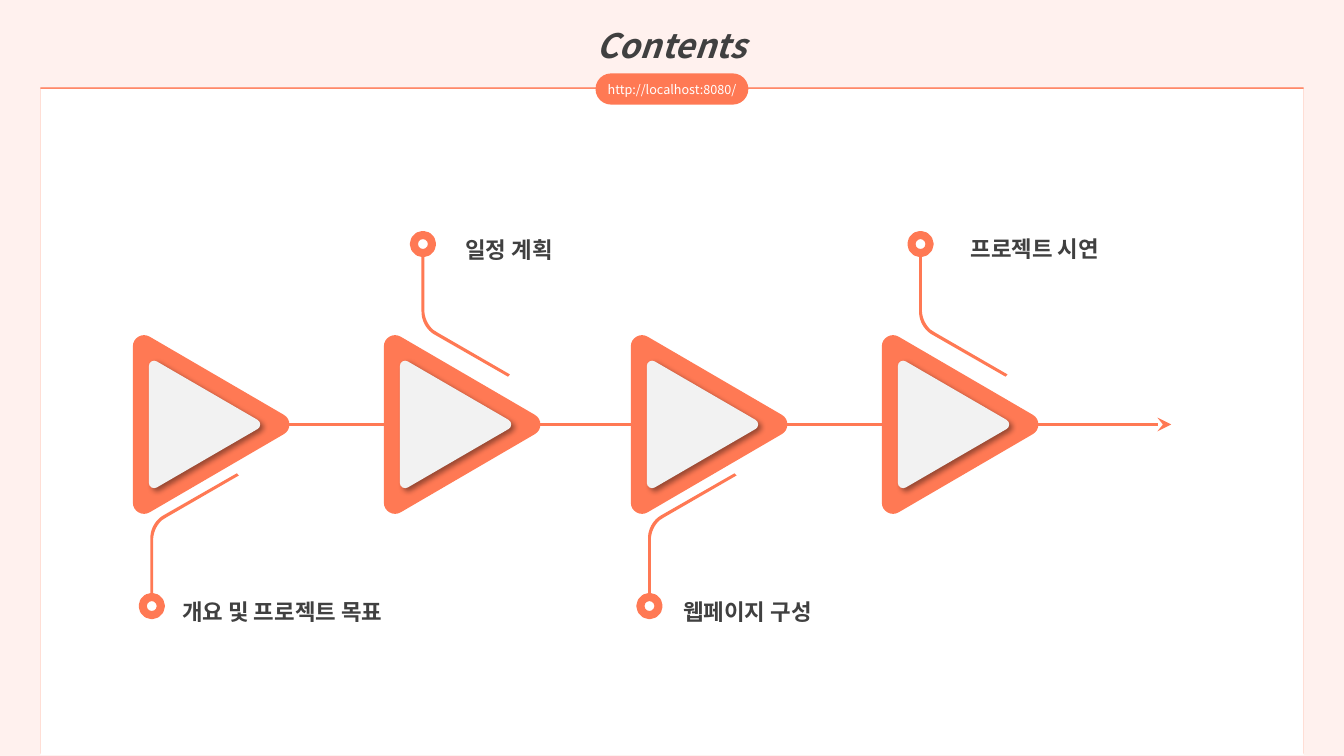
from dataclasses import dataclass

import pptx
import pptx.dml.color
import pptx.enum.shapes
import pptx.enum.text
import pptx.oxml
import pptx.oxml.ns
import pptx.util

Pt = pptx.util.Pt
RGBColor = pptx.dml.color.RGBColor
Shapes = pptx.enum.shapes.MSO_SHAPE
Align = pptx.enum.text.PP_ALIGN
Anchor = pptx.enum.text.MSO_ANCHOR

CORAL = RGBColor(0xFF, 0x79, 0x54)
BLUSH = RGBColor(0xFF, 0xF1, 0xEE)
WHITE = RGBColor(0xFF, 0xFF, 0xFF)
PALE_GREY = RGBColor(0xF2, 0xF2, 0xF2)
DARK_GREY = RGBColor(0x40, 0x40, 0x40)
BLACK = RGBColor(0, 0, 0)
FONT = "Noto Sans CJK KR"

AXIS_Y = 303.2
RING_SIZE = 13


@dataclass
class Step:
    label: str
    triangle_left: float
    ring_x: float
    ring_y: float
    label_left: float
    label_top: float
    label_width: float
    toward_axis: int  # 1 when the leader runs down, -1 when it runs up


@dataclass
class Shadow:
    color: RGBColor
    opacity: int
    blur: float
    distance: float
    angle: int


STEPS = [
    Step("개요 및 프로젝트 목표", 95, 108.4, 432.9, 123.1, 414, 227.5, -1),
    Step("일정 계획", 274.3, 302.1, 174.3, 325.4, 155.5, 218.9, 1),
    Step("웹페이지 구성", 450.7, 463.9, 432.9, 481, 414, 220.3, -1),
    Step("프로젝트 시연", 630, 657.5, 174.3, 686.2, 154.8, 217.4, 1),
]


def add_xml(parent, tag: str, **attributes):
    child = pptx.oxml.parse_xml(f"<{tag} {pptx.oxml.ns.nsdecls('a')}/>")
    for name, value in attributes.items():
        child.set(name, str(value))
    parent.append(child)
    return child


def add_shadow(shape, shadow: Shadow) -> None:
    effects = shape._element.spPr.find(pptx.oxml.ns.qn("a:effectLst"))
    outer = add_xml(effects, "a:outerShdw", blurRad=Pt(shadow.blur), dist=Pt(shadow.distance),
                    dir=shadow.angle * 60000, algn="ctr", rotWithShape=0)
    color = add_xml(outer, "a:srgbClr", val=shadow.color)
    add_xml(color, "a:alpha", val=shadow.opacity * 1000)


def paint(shape, fill: RGBColor, line: RGBColor = None, width: float = 0) -> None:
    shape.shadow.inherit = False
    shape.fill.solid()
    shape.fill.fore_color.rgb = fill
    if line is None:
        shape.line.fill.background()
    else:
        shape.line.color.rgb = line
        shape.line.width = Pt(width)


def add_box(page, kind, left: float, top: float, width: float, height: float):
    return page.shapes.add_shape(kind, Pt(left), Pt(top), Pt(width), Pt(height))


def write(shape, text: str, size: float, color: RGBColor, bold: bool = False,
          italic: bool = False, align=Align.LEFT, spacing: float = 1.0) -> None:
    para = shape.text_frame.paragraphs[0]
    para.text = text
    para.alignment = align
    para.line_spacing = spacing
    font = para.font
    font.name, font.size, font.bold, font.italic = FONT, Pt(size), bold, italic
    font.color.rgb = color
    add_xml(font._element, "a:ea", typeface=FONT)


def add_triangle(page, center_x: float, width: float, height: float,
                 color: RGBColor, border: float):
    triangle = add_box(page, Shapes.ISOSCELES_TRIANGLE, center_x - width / 2,
                       AXIS_Y - height / 2, width, height)
    triangle.rotation = 90
    paint(triangle, color, color, border)
    add_xml(triangle.line._ln, "a:round")
    return triangle


def curve(start, first, second, end, pieces: int = 10) -> list:
    points = []
    for piece in range(pieces + 1):
        t = piece / pieces
        weights = ((1 - t) ** 3, 3 * t * (1 - t) ** 2, 3 * t * t * (1 - t), t ** 3)
        corners = (start, first, second, end)
        points.append(tuple(sum(w * c[axis] for w, c in zip(weights, corners))
                            for axis in (0, 1)))
    return points


# Leader outline, measured from the ring centre toward the axis
LEADER = (
    [(60.8, 94.8), (62.2, 93.2), (10.8, 63.5)]
    + curve((7.2, 61.2), (3.4, 57.6), (1, 52.4), (1, 46.8))
    + [(1, 2.9), (-1, 2.9)]
    + curve((-1, 48.2), (-1, 54.9), (2.4, 61), (7.6, 64.3))
)


def add_leader(page, step: Step) -> None:
    points = [(Pt(step.ring_x + x), Pt(step.ring_y + step.toward_axis * y)) for x, y in LEADER]
    builder = page.shapes.build_freeform(*points[0])
    builder.add_line_segments(points[1:], close=True)
    paint(builder.convert_to_shape(), CORAL)
    ring = add_box(page, Shapes.OVAL, step.ring_x - RING_SIZE / 2,
                   step.ring_y - RING_SIZE / 2, RING_SIZE, RING_SIZE)
    paint(ring, WHITE, CORAL, 5.75)


def add_step(page, step: Step) -> None:
    center_x = step.triangle_left + 55.8
    add_triangle(page, center_x, 111.6, 95.8, CORAL, 16)
    inner = add_triangle(page, center_x - 4.7, 83.5, 72, PALE_GREY, 7.5)
    add_shadow(inner, Shadow(BLACK, 40, 4, 3, 45))
    add_leader(page, step)
    label = page.shapes.add_textbox(Pt(step.label_left), Pt(step.label_top),
                                    Pt(step.label_width), Pt(32.4))
    label.text_frame.word_wrap = True
    write(label, step.label, 16, DARK_GREY, bold=True, spacing=1.5)


def main() -> None:
    deck = pptx.Presentation()
    deck.slide_width, deck.slide_height = Pt(960), Pt(540)
    page = deck.slides.add_slide(deck.slide_layouts[5])
    page.background.fill.solid()
    page.background.fill.fore_color.rgb = BLUSH

    # Title
    title = page.shapes.title
    title.left, title.top, title.width, title.height = Pt(269.3), Pt(0), Pt(420.5), Pt(45.4)
    title.text_frame.vertical_anchor = Anchor.TOP
    title.text_frame.auto_size = pptx.enum.text.MSO_AUTO_SIZE.NONE
    write(title, "Contents", 24, DARK_GREY, True, True, Align.CENTER, 1.5)

    # White panel with its coral upper edge
    panel = add_box(page, Shapes.RECTANGLE, 28.8, 63.4, 902.4, 475.9)
    paint(panel, WHITE)
    add_shadow(panel, Shadow(CORAL, 100, 0, 1, 270))

    # Address pill
    pill = add_box(page, Shapes.ROUNDED_RECTANGLE, 425.4, 52.4, 109.2, 22.3)
    pill.adjustments[0] = 0.5
    paint(pill, CORAL)
    pill.text_frame.word_wrap = False
    pill.text_frame.vertical_anchor = Anchor.MIDDLE
    write(pill, "http://localhost:8080/", 9, WHITE, align=Align.CENTER)

    # Axis arrow
    axis = page.shapes.add_connector(pptx.enum.shapes.MSO_CONNECTOR.STRAIGHT,
                                     Pt(198.7), Pt(AXIS_Y), Pt(836.6), Pt(AXIS_Y))
    axis.line.color.rgb = CORAL
    axis.line.width = Pt(1.5)
    add_xml(axis.line._ln, "a:tailEnd", type="stealth", w="lg", len="lg")
    add_xml(axis._element.spPr, "a:effectLst")

    # Steps
    for step in STEPS:
        add_step(page, step)

    deck.save("out.pptx")


if __name__ == "__main__":
    main()
